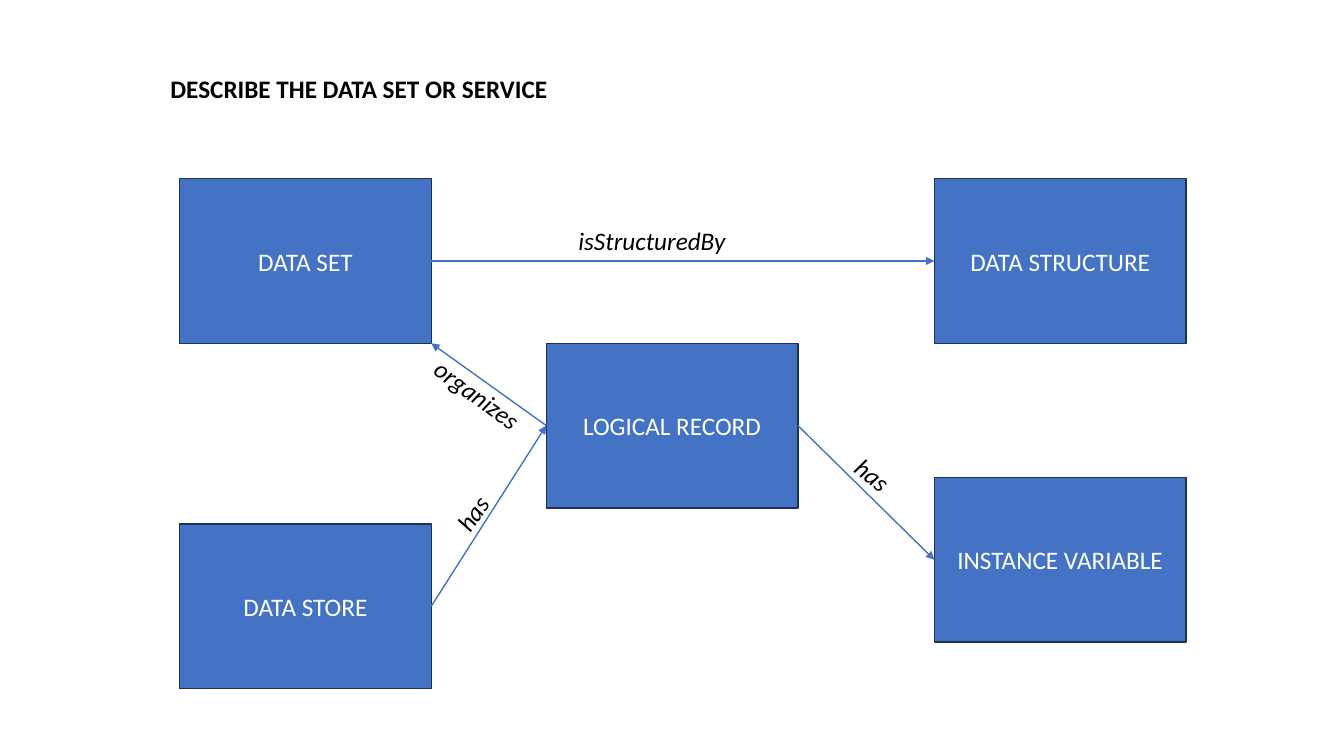
"""Build the slide that relates a data set to its structure, records and store."""
from dataclasses import dataclass

from lxml.etree import SubElement
from pptx import Presentation
from pptx.dml.color import RGBColor
from pptx.enum.shapes import MSO_CONNECTOR, MSO_SHAPE
from pptx.enum.text import MSO_ANCHOR, MSO_AUTO_SIZE, PP_ALIGN
from pptx.oxml.ns import qn
from pptx.shapes.autoshape import Shape
from pptx.slide import Slide
from pptx.text.text import TextFrame
from pptx.util import Pt

BLUE = RGBColor(0x44, 0x72, 0xC4)
NAVY = RGBColor(0x1E, 0x32, 0x56)
WHITE = RGBColor(0xFF, 0xFF, 0xFF)
BLACK = RGBColor(0x00, 0x00, 0x00)

ENTITY_WIDTH, ENTITY_HEIGHT = 179.75, 117.6
LEFT_COLUMN, MIDDLE_COLUMN, RIGHT_COLUMN = 128.3, 390.2, 667.4
TOP_ROW = 127.6
LABEL_HEIGHT = 29
LEFT_SIDE, RIGHT_SIDE = 1, 3


@dataclass
class Entity:
    name: str
    left: float
    top: float


@dataclass
class Relation:
    source: str
    source_side: int
    target: str
    target_side: int | None
    verb: str
    label_left: float
    label_top: float
    label_width: float
    angle: float = 0


ENTITIES = [
    Entity("DATA SET", LEFT_COLUMN, TOP_ROW),
    Entity("DATA STRUCTURE", RIGHT_COLUMN, TOP_ROW),
    Entity("DATA STORE", LEFT_COLUMN, 374.3),
    Entity("INSTANCE VARIABLE", RIGHT_COLUMN, 341),
    Entity("LOGICAL RECORD", MIDDLE_COLUMN, TOP_ROW + ENTITY_HEIGHT),
]

RELATIONS = [
    Relation("LOGICAL RECORD", LEFT_SIDE, "DATA SET", None,
             "organizes", 298.8, 267.8, 85, 36.2),
    Relation("DATA STORE", RIGHT_SIDE, "LOGICAL RECORD", LEFT_SIDE,
             "has", 317.5, 352.1, 40.3, 305),
    Relation("DATA SET", RIGHT_SIDE, "DATA STRUCTURE", LEFT_SIDE,
             "isStructuredBy", 406.1, 157.7, 120.2),
    Relation("LOGICAL RECORD", RIGHT_SIDE, "INSTANCE VARIABLE", LEFT_SIDE,
             "has", 603.4, 324.7, 40.3, 38.6),
]


def write(frame: TextFrame, text: str, color: RGBColor, align: PP_ALIGN,
          anchor: MSO_ANCHOR, bold: bool = False, italic: bool = False) -> None:
    """Put one formatted paragraph into a text frame."""
    frame.text = text
    frame.vertical_anchor = anchor
    paragraph = frame.paragraphs[0]
    paragraph.alignment = align
    font = paragraph.runs[0].font
    font.name, font.size = "Calibri", Pt(18)
    font.bold, font.italic = bold, italic
    font.color.rgb = color


def fit_to_text(frame: TextFrame) -> None:
    """Keep the text on one line and let its shape follow it."""
    frame.word_wrap = False
    frame.auto_size = MSO_AUTO_SIZE.SHAPE_TO_FIT_TEXT


def add_heading(slide: Slide) -> None:
    """Place and format the title placeholder."""
    heading = slide.shapes.title
    heading.left, heading.top = Pt(114.5), Pt(49)
    heading.width, heading.height = Pt(286.6), Pt(LABEL_HEIGHT)
    write(heading.text_frame, "DESCRIBE THE DATA SET OR SERVICE", BLACK,
          PP_ALIGN.LEFT, MSO_ANCHOR.TOP, bold=True)
    fit_to_text(heading.text_frame)


def add_entity(slide: Slide, entity: Entity) -> Shape:
    """Draw the box of one entity."""
    box = slide.shapes.add_shape(
        MSO_SHAPE.RECTANGLE, Pt(entity.left), Pt(entity.top),
        Pt(ENTITY_WIDTH), Pt(ENTITY_HEIGHT))
    box.shadow.inherit = False
    box.fill.solid()
    box.fill.fore_color.rgb = BLUE
    box.line.color.rgb = NAVY
    box.line.width = Pt(1)
    write(box.text_frame, entity.name, WHITE, PP_ALIGN.CENTER, MSO_ANCHOR.MIDDLE)
    return box


def add_relation(slide: Slide, relation: Relation, boxes: dict[str, Shape]) -> None:
    """Draw the arrow of one relation; without a target side it ends at the lower right corner."""
    target = boxes[relation.target]
    arrow = slide.shapes.add_connector(
        MSO_CONNECTOR.STRAIGHT, 0, 0,
        target.left + target.width, target.top + target.height)
    arrow.begin_connect(boxes[relation.source], relation.source_side)
    if relation.target_side is not None:
        arrow.end_connect(target, relation.target_side)
    arrow.line.color.rgb = BLUE
    arrow.line.width = Pt(1)
    properties = arrow.element.spPr
    SubElement(properties.find(qn("a:ln")), qn("a:tailEnd"), type="triangle")
    SubElement(properties, qn("a:effectLst"))


def add_verb(slide: Slide, relation: Relation) -> None:
    """Write the verb of one relation along its arrow."""
    label = slide.shapes.add_textbox(
        Pt(relation.label_left), Pt(relation.label_top),
        Pt(relation.label_width), Pt(LABEL_HEIGHT))
    label.rotation = relation.angle
    write(label.text_frame, relation.verb, BLACK, PP_ALIGN.LEFT,
          MSO_ANCHOR.TOP, italic=True)
    fit_to_text(label.text_frame)


def main() -> None:
    """Build and save the presentation."""
    presentation = Presentation()
    presentation.slide_width, presentation.slide_height = Pt(960), Pt(540)
    slide = presentation.slides.add_slide(presentation.slide_layouts[5])
    add_heading(slide)
    boxes = {entity.name: add_entity(slide, entity) for entity in ENTITIES}
    for relation in RELATIONS:
        add_relation(slide, relation, boxes)
    for relation in RELATIONS:
        add_verb(slide, relation)
    presentation.save("out.pptx")


if __name__ == "__main__":
    main()
